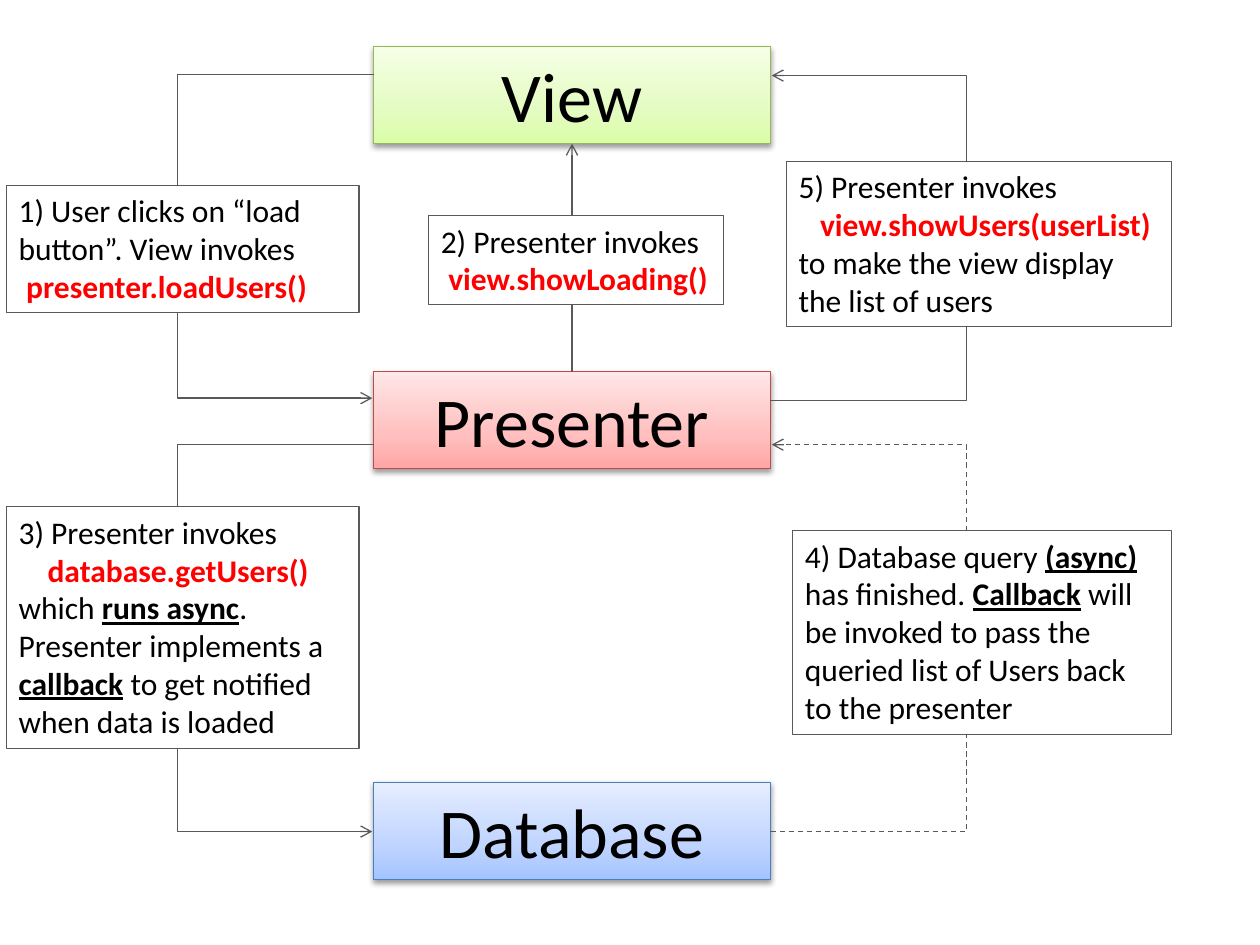
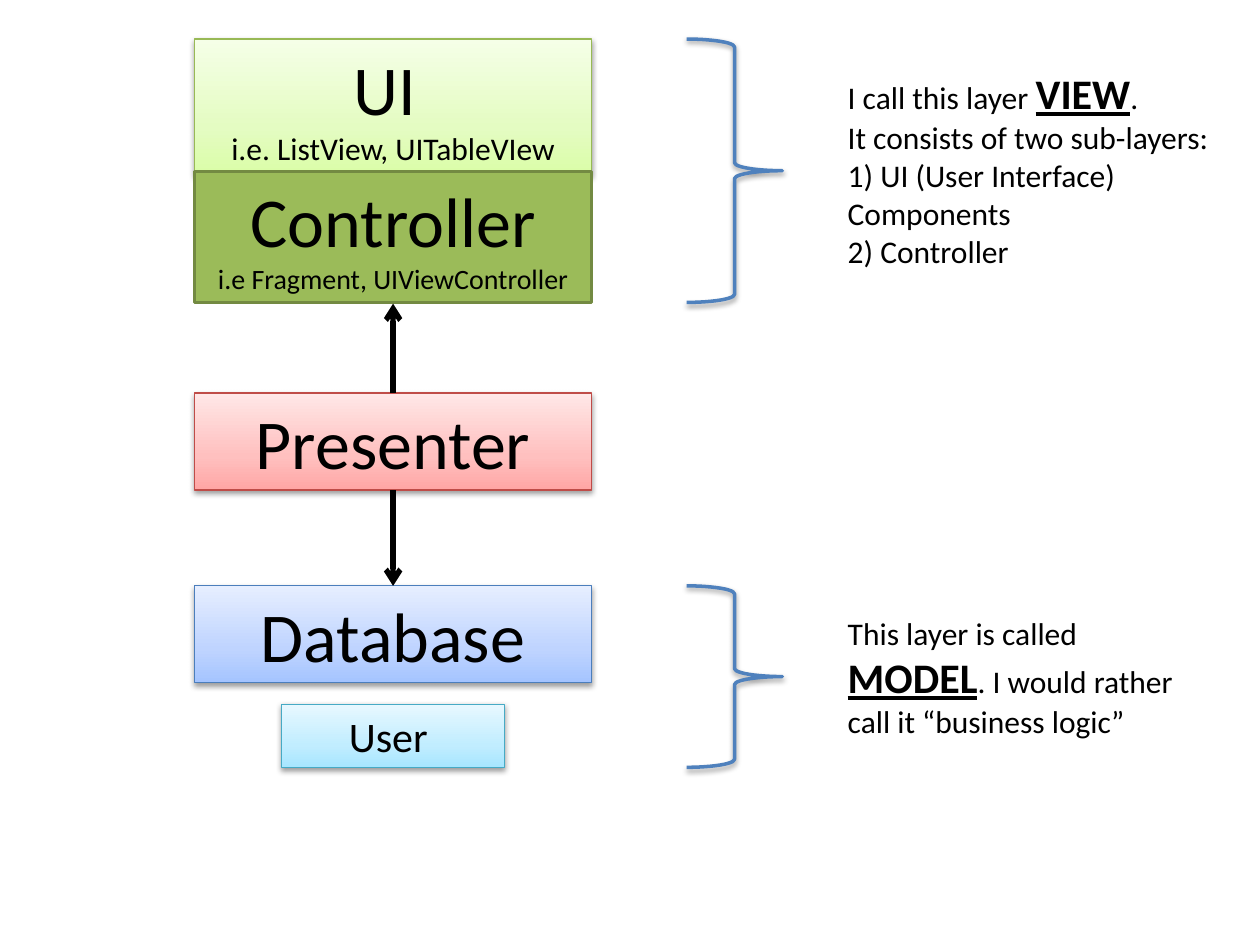
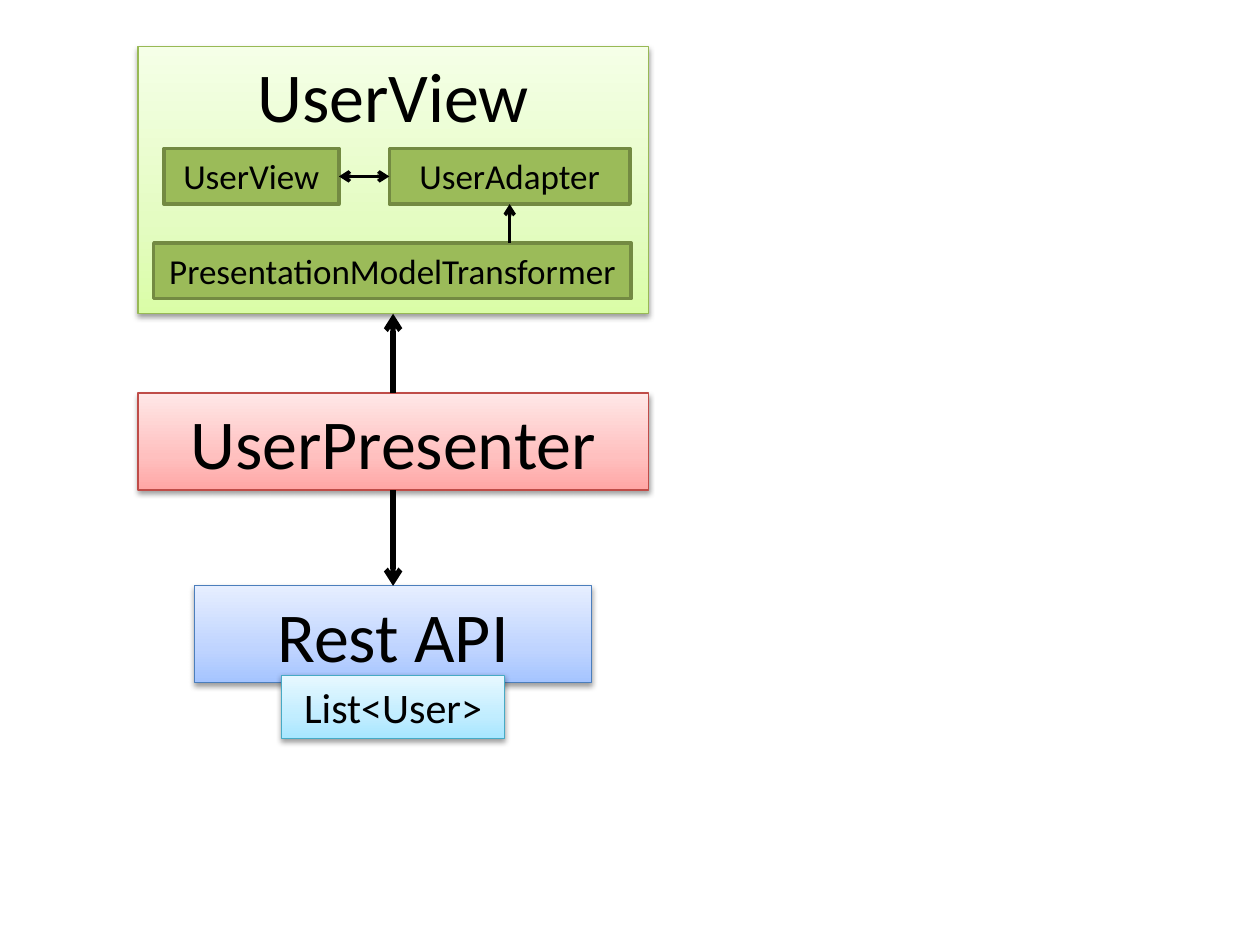
from copy import deepcopy

from lxml import etree
from pptx import Presentation
from pptx.dml.color import RGBColor
from pptx.enum.dml import MSO_LINE
from pptx.enum.shapes import MSO_CONNECTOR, MSO_SHAPE
from pptx.enum.text import MSO_ANCHOR, PP_ALIGN
from pptx.oxml.ns import qn
from pptx.util import Inches, Pt

RECTANGLE, BRACE = MSO_SHAPE.RECTANGLE, MSO_SHAPE.RIGHT_BRACE
STRAIGHT, ELBOW = MSO_CONNECTOR.STRAIGHT, MSO_CONNECTOR.ELBOW
TOP, LEFT, CENTER, DASH = MSO_ANCHOR.TOP, PP_ALIGN.LEFT, PP_ALIGN.CENTER, MSO_LINE.DASH

FONT = "Calibri"
BLACK, WHITE, GREY, RED, BLUE = "000000", "FFFFFF", "595959", "FF0000", "4F81BD"
CODE = {"bold": True, "color": RED}
STRONG = {"bold": True, "underline": True}
LAYER = {"bold": True, "underline": True, "size": 24}

STYLES = {
    "view": (("DAFDA7", "E4FCC2", "F5FFE7"), "98B955", 0.75),
    "presenter": (("FFA6A5", "FFC0BF", "FFE7E7"), "BF4C48", 0.75),
    "database": (("A4C4FF", "BFD4FF", "E6EEFF"), "4B7EBC", 0.75),
    "entity": (("A7E6FF", "C1EDFF", "E7F8FF"), "46AAC5", 0.75),
    "control": (("9BBB59",), "738A42", 2),
    "note": ((WHITE,), GREY, 0.75),
}
STOPS = (0, 0.35, 1)

BOX_W, BOX_H = 3.15, 0.77
WIDE_W = 4.05
ENTITY_W, ENTITY_H = 1.77, 0.5
PART_H = 0.44
FLOW_AXIS, STACK_AXIS = 4.54, 3.12
PRESENTER_Y, DATABASE_Y = 3.12, 4.65
LOOP_REACH, LOOP_STEP = 1.58, 0.01
NOTE_X, NOTE_W = 0.05, 2.8
NOTE_RIGHT = 9.3
BRACE_X, BRACE_W, LABEL_X = 5.45, 0.76, 6.63

FLOW_BOXES = [
    ("view", 0.37, "View"),
    ("presenter", 2.95, "Presenter"),
    ("database", 6.21, "Database"),
]
FLOW_LOOPS = [
    (-1, 0.59, 3.16, None),
    (-1, 3.53, 6.6, None),
    (1, 6.6, 3.53, DASH),
    (1, 3.18, 0.6, None),
]
FLOW_NOTES = [
    (NOTE_X, 1.47, NOTE_W, 1.01, [
        (0, [("1) User clicks on “load button”. View invokes", {})]),
        (0.06, [("presenter.loadUsers()", CODE)])]),
    (3.4, 1.71, 2.34, 0.71, [
        (0, [("2) Presenter invokes", {})]),
        (0.06, [("view.showLoading()", CODE)])]),
    (NOTE_X, 4.02, NOTE_W, 1.92, [
        (0, [("3) Presenter invokes", {})]),
        (0.23, [("database.getUsers()", CODE)]),
        (0, [("which ", {}), ("runs async", STRONG),
             (". Presenter implements a ", {}), ("callback", STRONG),
             (" to get notified when data is loaded", {})])]),
    (NOTE_RIGHT - 3.01, 4.21, 3.01, 1.62, [
        (0, [("4) Database query ", {}), ("(async)", STRONG),
             (" has finished. ", {}), ("Callback", STRONG),
             (" will be invoked to pass the queried list of Users back to the presenter", {})])]),
    (NOTE_RIGHT - 3.06, 1.28, 3.06, 1.31, [
        (0, [("5) Presenter invokes", {})]),
        (0.17, [("view.showUsers(userList)", CODE)]),
        (0, [("to make the view display the list of users", {})])]),
]

LAYER_BOXES = [
    ("view", 0.31, BOX_W, 1.08, [("UI ", 40), ("i.e. ListView, UITableVIew", 18)]),
    ("control", 1.36, BOX_W, 1.04, [("Controller", 40), ("i.e Fragment, UIViewController", 16)]),
    ("presenter", PRESENTER_Y, BOX_W, BOX_H, [("Presenter", 40)]),
    ("database", DATABASE_Y, BOX_W, BOX_H, [("Database", 40)]),
    ("entity", 5.59, ENTITY_W, ENTITY_H, [("User ", 24)]),
]
LAYER_LABELS = [
    (0.31, 2.09, 0.49, 3.13, 2.02, [
        (0, [("I call this layer ", {}), ("VIEW", LAYER), (".", {})]),
        (0, [("It consists of two sub-layers: 1) UI (User Interface) Components", {})]),
        (0, [("2) Controller", {})])]),
    (DATABASE_Y, 1.44, 4.82, 2.8, 1.11, [
        (0, [("This layer is called ", {}), ("MODEL", LAYER),
             (". I would rather call it “business logic”", {})])]),
]

USER_BOXES = [
    ("view", 0.37, WIDE_W, 2.12, [("UserView", 40)]),
    ("presenter", PRESENTER_Y, WIDE_W, BOX_H, [("UserPresenter", 40)]),
    ("database", DATABASE_Y, BOX_W, BOX_H, [("Rest API", 40)]),
    ("entity", 5.36, ENTITY_W, ENTITY_H, [("List<User>", 24)]),
]
PARTS_Y, TRANSFORMER_Y = 1.18, 1.93
ADAPTER_X, ADAPTER_W = 3.09, 1.91
USER_VIEW_X, USER_VIEW_W = 1.3, 1.39
VIEW_PARTS = [
    (USER_VIEW_X, PARTS_Y, USER_VIEW_W, "UserView"),
    (ADAPTER_X, PARTS_Y, ADAPTER_W, "UserAdapter"),
    (1.22, TRANSFORMER_Y, 3.79, "PresentationModelTransformer"),
]


def rgb(value):
    return RGBColor.from_string(value)


def inches(*lengths):
    return [Inches(length) for length in lengths]


def write(box, paragraphs, align=LEFT):
    frame = box.text_frame
    frame.word_wrap = True
    frame.vertical_anchor = TOP
    for index, (indent, spans) in enumerate(paragraphs):
        para = frame.paragraphs[0] if index == 0 else frame.add_paragraph()
        para.alignment = align
        if indent:
            para._p.get_or_add_pPr().set("marL", str(Inches(indent)))
        for text, look in spans:
            span = para.add_run()
            span.text = text
            span.font.name = FONT
            span.font.size = Pt(look.get("size", 18))
            span.font.bold = look.get("bold", False)
            span.font.underline = look.get("underline", False)
            span.font.color.rgb = rgb(look.get("color", BLACK))


def add_shadow(shape):
    effects = shape._element.spPr.find(qn("a:effectLst"))
    shadow = etree.SubElement(effects, qn("a:outerShdw"), blurRad="40000", dist="20000",
                              dir="5400000", rotWithShape="0")
    color = etree.SubElement(shadow, qn("a:srgbClr"), val=BLACK)
    etree.SubElement(color, qn("a:alpha"), val="38000")


def paint(fill, colors, shape):
    if len(colors) == 1:
        fill.solid()
        fill.fore_color.rgb = rgb(colors[0])
        return
    fill.gradient()
    fill.gradient_angle = 90
    stop_list = shape._element.spPr.find(".//" + qn("a:gsLst"))
    stop_list.append(deepcopy(stop_list[0]))
    for stop, position, color in zip(fill.gradient_stops, STOPS, colors):
        stop.position = position
        stop.color.rgb = rgb(color)
    add_shadow(shape)


def add_box(page, style, place, paragraphs, align=CENTER):
    colors, edge, weight = STYLES[style]
    box = page.shapes.add_shape(RECTANGLE, *inches(*place))
    box.shadow.inherit = False
    paint(box.fill, colors, box)
    box.line.color.rgb = rgb(edge)
    box.line.width = Pt(weight)
    write(box, paragraphs, align)


def add_stack(page, axis, boxes):
    for style, top, width, height, lines in boxes:
        paragraphs = [(0, [(text, {"size": size})]) for text, size in lines]
        add_box(page, style, (axis - width / 2, top, width, height), paragraphs)


def add_arrow(page, start, end, color=BLACK, weight=3, rail=None, dash=None, double=False):
    kind = STRAIGHT if rail is None else ELBOW
    arrow = page.shapes.add_connector(kind, *inches(*start, *end))
    arrow.line.color.rgb = rgb(color)
    arrow.line.width = Pt(weight)
    if dash:
        arrow.line.dash_style = dash
    properties = arrow._element.spPr
    line = properties.find(qn("a:ln"))
    for tip in ("a:headEnd", "a:tailEnd") if double else ("a:tailEnd",):
        etree.SubElement(line, qn(tip), type="arrow")
    etree.SubElement(properties, qn("a:effectLst"))
    if rail is not None:
        share = (rail - start[0]) / (end[0] - start[0])
        guides = properties.find(qn("a:prstGeom")).get_or_add_avLst()
        etree.SubElement(guides, qn("a:gd"), name="adj1", fmla=f"val {round(share * 100000)}")


def add_presenter_arrows(page, view_bottom):
    add_arrow(page, (STACK_AXIS, PRESENTER_Y), (STACK_AXIS, view_bottom))
    add_arrow(page, (STACK_AXIS, PRESENTER_Y + BOX_H), (STACK_AXIS, DATABASE_Y))


def build_flow(page):
    add_stack(page, FLOW_AXIS,
              [(style, top, BOX_W, BOX_H, [(text, 40)]) for style, top, text in FLOW_BOXES])
    for side, start_y, end_y, dash in FLOW_LOOPS:
        edge = FLOW_AXIS + side * BOX_W / 2
        add_arrow(page, (edge, start_y), (edge + side * LOOP_STEP, end_y), GREY, 0.75,
                  rail=edge + side * LOOP_REACH, dash=dash)
    view_bottom, presenter_top = FLOW_BOXES[0][1] + BOX_H, FLOW_BOXES[1][1]
    add_arrow(page, (FLOW_AXIS, presenter_top), (FLOW_AXIS, view_bottom), GREY, 0.75)
    for *place, paragraphs in FLOW_NOTES:
        add_box(page, "note", place, paragraphs, LEFT)


def build_layers(page):
    add_stack(page, STACK_AXIS, LAYER_BOXES)
    add_presenter_arrows(page, 2.41)
    for brace_y, brace_h, top, width, height, paragraphs in LAYER_LABELS:
        brace = page.shapes.add_shape(BRACE, *inches(BRACE_X, brace_y, BRACE_W, brace_h))
        brace.shadow.inherit = False
        brace.fill.background()
        brace.line.color.rgb = rgb(BLUE)
        brace.line.width = Pt(2)
        add_shadow(brace)
        label = page.shapes.add_textbox(*inches(LABEL_X, top, width, height))
        write(label, paragraphs)


def build_user_example(page):
    add_stack(page, STACK_AXIS, USER_BOXES)
    add_presenter_arrows(page, 2.49)
    for left, top, width, text in VIEW_PARTS:
        add_box(page, "control", (left, top, width, PART_H), [(0, [(text, {"size": 20})])])
    middle = PARTS_Y + PART_H / 2
    adapter_axis = ADAPTER_X + ADAPTER_W / 2
    add_arrow(page, (ADAPTER_X, middle), (USER_VIEW_X + USER_VIEW_W, middle), weight=2, double=True)
    add_arrow(page, (adapter_axis, TRANSFORMER_Y), (adapter_axis, PARTS_Y + PART_H), weight=2)


def main():
    deck = Presentation()
    deck.slide_width, deck.slide_height = inches(10, 7.5)
    for build in (build_flow, build_layers, build_user_example):
        build(deck.slides.add_slide(deck.slide_layouts[6]))
    deck.save("out.pptx")


if __name__ == "__main__":
    main()
